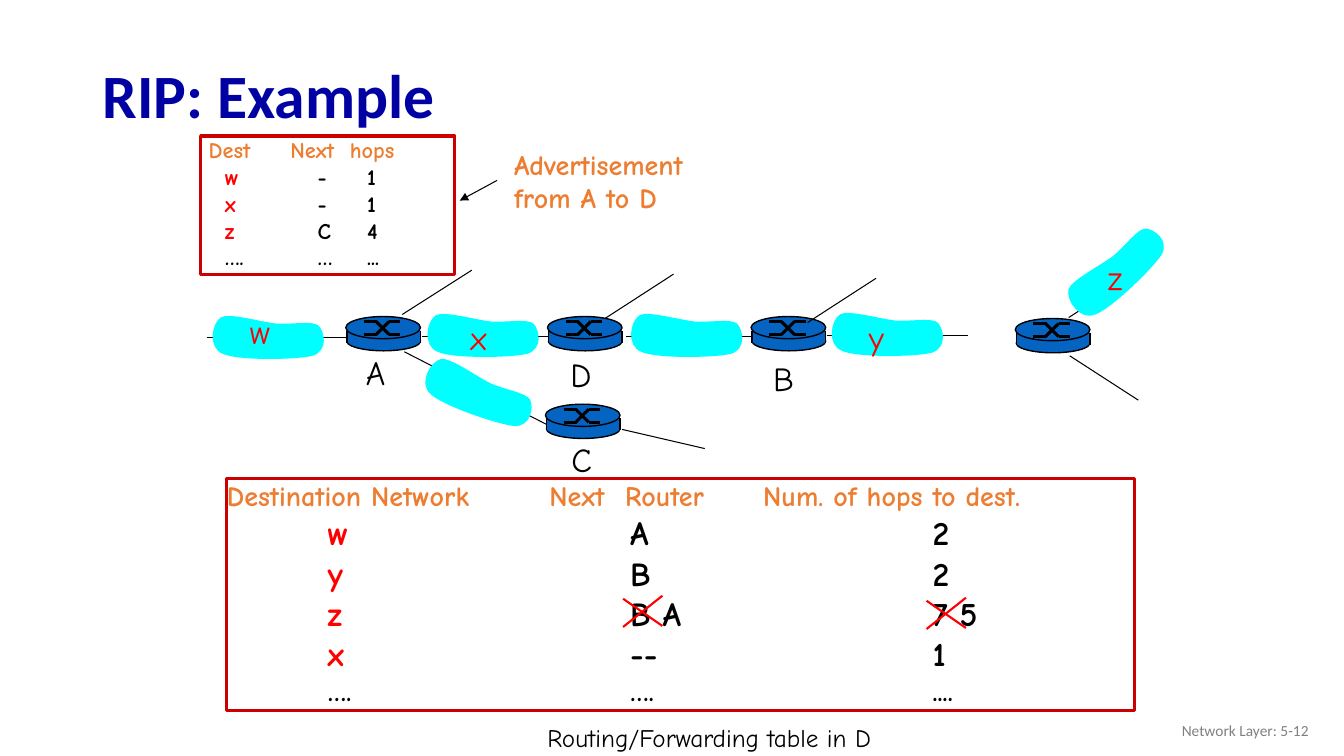
import lxml.etree
import pptx
import pptx.dml.color
import pptx.enum.shapes
import pptx.enum.text
import pptx.oxml.ns
import pptx.util

Inches = pptx.util.Inches
RGBColor = pptx.dml.color.RGBColor
Shape = pptx.enum.shapes.MSO_SHAPE
Align = pptx.enum.text.PP_ALIGN
Anchor = pptx.enum.text.MSO_ANCHOR
Fit = pptx.enum.text.MSO_AUTO_SIZE
qn = pptx.oxml.ns.qn

BLACK = RGBColor(0x00, 0x00, 0x00)
RED = RGBColor(0xFF, 0x00, 0x00)
FRAME = RGBColor(0xCC, 0x00, 0x00)
ORANGE = RGBColor(0xED, 0x7D, 0x31)
BLUE = RGBColor(0x05, 0x63, 0xC1)
CYAN = RGBColor(0x00, 0xFF, 0xFF)
NAVY = RGBColor(0x00, 0x00, 0xA3)
GRAY = RGBColor(0x80, 0x80, 0x80)


def add_run(para, text, size, color, bold=False, font="Comic Neue"):
    run = para.add_run()
    run.text = text
    run.font.name = font
    run.font.size = pptx.util.Pt(size)
    run.font.bold = bold
    run.font.color.rgb = color


def add_line(shapes, x1, y1, x2, y2, width=0.75, color=BLACK):
    line = shapes.add_connector(pptx.enum.shapes.MSO_CONNECTOR.STRAIGHT,
                                Inches(x1), Inches(y1), Inches(x2), Inches(y2))
    line.line.width = pptx.util.Pt(width)
    line.line.color.rgb = color
    lxml.etree.SubElement(line.element.spPr, qn("a:effectLst"))
    return line


deck = pptx.Presentation()
deck.slide_width = Inches(13.33)
deck.slide_height = Inches(7.5)
slide = deck.slides.add_slide(deck.slide_layouts[5])
shapes = slide.shapes

# Title
title = shapes.title
title.left, title.top = Inches(0.92), Inches(0.49)
title.width, title.height = Inches(11.5), Inches(0.98)
title.text_frame.auto_size = Fit.NONE
title.text_frame.vertical_anchor = Anchor.MIDDLE
para = title.text_frame.paragraphs[0]
para.alignment = Align.LEFT
para.line_spacing = 0.9
add_run(para, "RIP: Example", 44, NAVY, True, "Calibri")

# Links between routers
for x, y in [(2.05, 3.35), (4.19, 3.34), (6.21, 3.34), (8.2, 3.33)]:
    add_line(shapes, x, y, x + 1.4, y, 1)

# Routers: a drum with a crossing mark on its top
MARK = [(0.18, 0.05, 0.31, 0.05), (0.3, 0.05, 0.43, 0.18), (0.43, 0.18, 0.54, 0.18),
        (0.18, 0.18, 0.31, 0.18), (0.3, 0.18, 0.43, 0.05), (0.43, 0.05, 0.54, 0.05)]
DRUM = [(Shape.OVAL, 0.01, 0.15, 0.73, 0.19),
        (Shape.RECTANGLE, 0.01, 0.14, 0.73, 0.12),
        (Shape.OVAL, 0, 0, 0.74, 0.22)]
for x, y in [(3.43, 3.14), (5.43, 3.14), (7.45, 3.14), (5.41, 4.01), (10.07, 3.16)]:
    parts = shapes.add_group_shape().shapes
    for kind, dx, dy, w, h in DRUM:
        part = parts.add_shape(kind, Inches(x + dx), Inches(y + dy), Inches(w), Inches(h))
        part.shadow.inherit = False
        part.fill.solid()
        part.fill.fore_color.rgb = BLUE
        if kind == Shape.OVAL:
            part.line.color.rgb = BLACK
            part.line.width = pptx.util.Pt(1)
        else:
            part.line.fill.background()
    for dx in (0.01, 0.74):
        add_line(parts, x + dx, y + 0.14, x + dx, y + 0.26, 1)
    for x1, y1, x2, y2 in MARK:
        add_line(parts, x + x1, y + y1, x + x2, y + y2, 2.25)

# Branches leaving the routers
for ends in [(3.99, 3.12, 4.68, 2.68), (6, 3.16, 6.68, 2.72), (8.01, 3.2, 8.69, 2.76),
             (10.6, 3.15, 11.28, 2.71), (10.61, 3.53, 11.29, 3.97),
             (4.01, 3.49, 5.42, 4.21), (6.17, 4.26, 6.99, 4.45)]:
    add_line(shapes, *ends)

# Networks: each three points after the first make one curve
CLOUD = [(0.68, 0.11), (0.51, 0.09), (0.21, 0), (0.13, 0.05),
         (0.04, 0.11), (0, 0.35), (0.15, 0.41), (0.3, 0.48), (0.88, 0.47), (1.04, 0.43),
         (1.2, 0.38), (1.16, 0.19), (1.1, 0.13), (1.04, 0.08), (0.84, 0.12), (0.68, 0.11)]
for x, y, turn in [(2.06, 3.1, 0), (4.19, 3.08, 0), (6.21, 3.08, 0), (8.2, 3.07, 0),
                   (4.15, 3.66, 19.7), (10.47, 2.45, 316.8)]:
    spots = [(Inches(x + dx), Inches(y + dy)) for dx, dy in CLOUD]
    pen = shapes.build_freeform(*spots[0])
    pen.add_line_segments(spots[1:], close=True)
    cloud = pen.convert_to_shape()
    steps = cloud.element.findall(".//" + qn("a:lnTo"))
    for i in range(0, 15, 3):
        curve = lxml.etree.Element(qn("a:cubicBezTo"))
        steps[i].addprevious(curve)
        for step in steps[i:i + 3]:
            curve.append(step[0])
            step.getparent().remove(step)
    cloud.rotation = turn
    cloud.shadow.inherit = False
    cloud.fill.solid()
    cloud.fill.fore_color.rgb = CYAN
    cloud.line.fill.background()

# Loose text
for lines, x, y, w, h, size, color, bold in [
        (["w"], 2.38, 3.04, 0.43, 0.5, 24, RED, False),
        (["x"], 4.57, 3.09, 0.4, 0.5, 24, RED, False),
        (["y"], 8.52, 3.09, 0.37, 0.5, 24, RED, False),
        (["z"], 10.89, 2.5, 0.38, 0.5, 24, RED, False),
        (["A"], 3.53, 3.44, 0.44, 0.5, 24, BLACK, False),
        (["C"], 5.57, 4.31, 0.4, 0.5, 24, BLACK, False),
        (["D"], 5.56, 3.46, 0.44, 0.5, 24, BLACK, False),
        (["B"], 7.57, 3.5, 0.41, 0.5, 24, BLACK, False),
        (["Advertisement", "from A to D"], 5, 1.41, 2.14, 0.77, 20, ORANGE, True),
        (["Routing/Forwarding table in D"], 5.33, 7.12, 3.7, 0.4, 18, BLACK, False)]:
    frame = shapes.add_textbox(Inches(x), Inches(y), Inches(w), Inches(h)).text_frame
    frame.word_wrap = False
    frame.auto_size = Fit.SHAPE_TO_FIT_TEXT
    for i, text in enumerate(lines):
        para = frame.add_paragraph() if i else frame.paragraphs[0]
        add_run(para, text, size, color, bold)

# Framed lists: place, head size, row size, last size, head stops, row stops, rows
for place, sizes, stops, rows in [
        ((1.99, 1.35, 2.52, 1.37), (16, 16, 16),
         ((0.08, 0.89, 1.48), (0.24, 1.16, 1.65)),
         [("\tDest", "\tNext\thops"), ("\tw", "\t-\t1"), ("\tx", "\t-\t1"),
          ("\tz", "\tC\t4"), ("\t….", "\t…\t...")]),
        ((2.25, 4.75, 9, 2.3), (20, 24, 20),
         ((3.2, 3.95, 5.32), (1, 4, 7)),
         [("Destination Network", "\tNext\tRouter\tNum. of hops to dest."),
          ("\tw", "\tA\t2"), ("\ty", "\tB\t2"), ("\tz", "\tB A\t7 5"),
          ("\tx", "\t--\t1"), ("\t….", "\t….\t....")])]:
    box = shapes.add_shape(Shape.RECTANGLE, *[Inches(n) for n in place])
    box.shadow.inherit = False
    box.fill.background()
    box.line.color.rgb = FRAME
    box.line.width = pptx.util.Pt(2.25)
    frame = box.text_frame
    frame.margin_left = frame.margin_right = frame.margin_top = frame.margin_bottom = 0
    frame.vertical_anchor = Anchor.TOP
    frame.word_wrap = True
    last = len(rows) - 1
    for i, (dest, rest) in enumerate(rows):
        para = frame.add_paragraph() if i else frame.paragraphs[0]
        para.alignment = Align.LEFT
        tabs = lxml.etree.SubElement(para._p.get_or_add_pPr(), qn("a:tabLst"))
        for stop in stops[min(i, 1)]:
            lxml.etree.SubElement(tabs, qn("a:tab"), pos=str(Inches(stop)), algn="l")
        size = sizes[0] if i == 0 else sizes[2] if i == last else sizes[1]
        tint = ORANGE if i == 0 else BLACK
        add_run(para, dest, size, RED if 0 < i < last else tint, True)
        add_run(para, rest, size, tint, True)

# Arrow to the advertisement
arrow = add_line(shapes, 4.93, 1.79, 4.56, 1.99)
lxml.etree.SubElement(arrow.line._get_or_add_ln(), qn("a:tailEnd"), type="triangle")

# Crossed-out values
for x, y in [(6.18, 5.94), (9.19, 5.96)]:
    add_line(shapes, x, y, x + 0.39, y + 0.27, 1.5, RED)
    add_line(shapes, x, y + 0.28, x + 0.39, y - 0.03, 1.5, RED)

# Footer
frame = shapes.add_textbox(Inches(10.08), Inches(7.05), Inches(3), Inches(0.4)).text_frame
frame.word_wrap = True
frame.vertical_anchor = Anchor.MIDDLE
para = frame.paragraphs[0]
para.alignment = Align.RIGHT
add_run(para, "Network Layer: 5-12", 11, GRAY, False, "Calibri")

deck.save("out.pptx")
